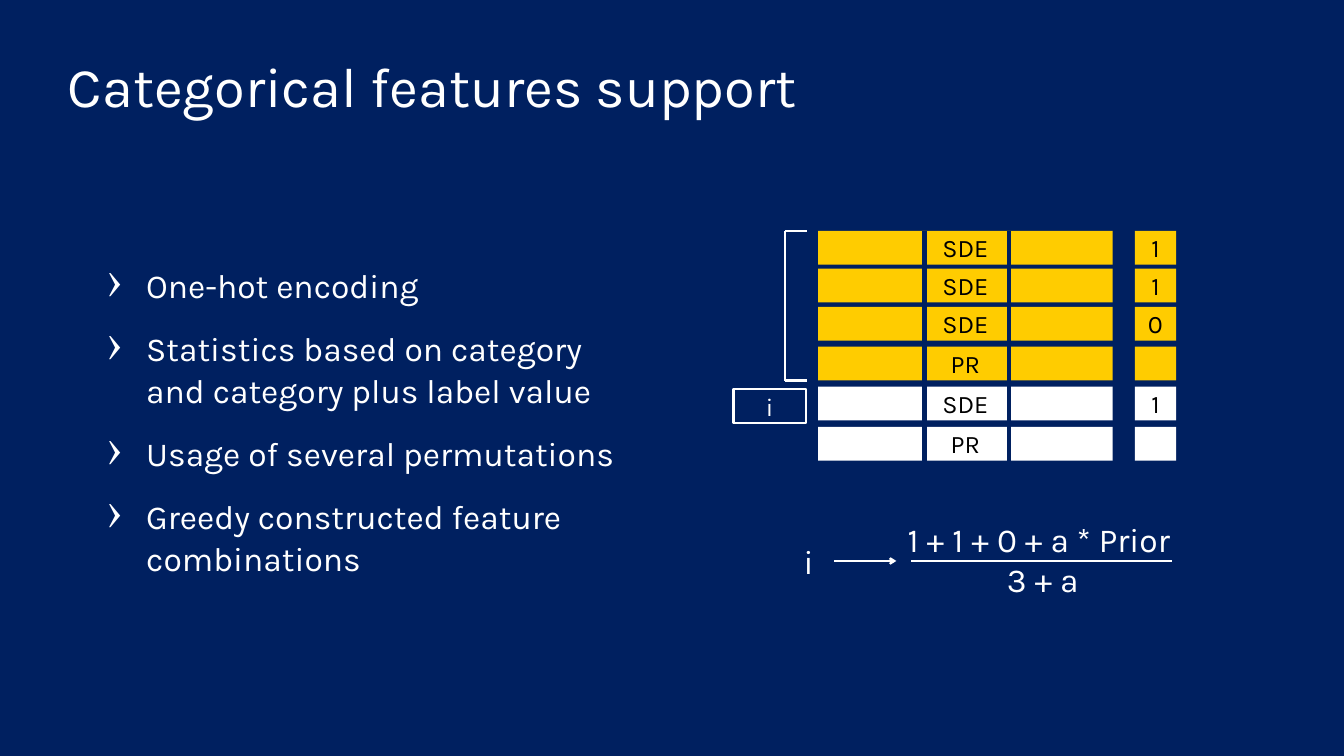
from dataclasses import dataclass

from lxml import etree
from pptx import Presentation
from pptx.dml.color import RGBColor
from pptx.enum.shapes import MSO_CONNECTOR, MSO_SHAPE
from pptx.enum.text import MSO_ANCHOR, PP_ALIGN
from pptx.oxml.ns import qn
from pptx.util import Inches, Pt

RECTANGLE = MSO_SHAPE.RECTANGLE
STRAIGHT = MSO_CONNECTOR.STRAIGHT
MIDDLE = MSO_ANCHOR.MIDDLE
LEFT, CENTER = PP_ALIGN.LEFT, PP_ALIGN.CENTER

# Grid: one column and one row are one inch each
COLUMNS, ROWS = 26.66, 15


@dataclass(frozen=True)
class Theme:
    font: str = "Karla"
    navy: str = "002060"
    yellow: str = "FFCC00"
    white: str = "FFFFFF"
    black: str = "000000"
    title_size: int = 80
    body_size: int = 48
    cell_size: int = 36
    thin: int = 3
    thick: int = 6


class SlideBuilder:
    def __init__(self, presentation, theme):
        self.theme = theme
        self.slide = presentation.slides.add_slide(presentation.slide_layouts[6])
        self.column = presentation.slide_width / COLUMNS
        self.row = presentation.slide_height / ROWS

    def place(self, left, top, width, height):
        units = (self.column, self.row, self.column, self.row)
        return [round(n * unit) for n, unit in zip((left, top, width, height), units)]

    def fill_text(self, frame, lines, size, color, align=CENTER, **spacing):
        frame.word_wrap = True
        frame.vertical_anchor = MIDDLE
        for index, line in enumerate(lines):
            paragraph = frame.add_paragraph() if index else frame.paragraphs[0]
            paragraph.alignment = align
            for name, value in spacing.items():
                setattr(paragraph, name, value)
            run = paragraph.add_run()
            run.text = line
            for name, value in {"name": self.theme.font, "size": Pt(size)}.items():
                setattr(run.font, name, value)
            run.font.color.rgb = RGBColor.from_string(color)

    def box(self, area, fill=None, border=None, text="", color=None):
        shape = self.slide.shapes.add_shape(RECTANGLE, *self.place(*area))
        shape.shadow.inherit = False
        if fill:
            shape.fill.solid()
            shape.fill.fore_color.rgb = RGBColor.from_string(fill)
        else:
            shape.fill.background()
        if border:
            shape.line.color.rgb = RGBColor.from_string(border)
            shape.line.width = Pt(self.theme.thin)
        else:
            shape.line.fill.background()
        if text:
            self.fill_text(shape.text_frame, [text], self.theme.cell_size,
                           color or self.theme.black)

    def text(self, area, lines, size, align=CENTER, **spacing):
        frame = self.slide.shapes.add_textbox(*self.place(*area)).text_frame
        self.fill_text(frame, lines, size, self.theme.white, align, **spacing)
        return frame

    def bullets(self, area, lines):
        frame = self.text(area, lines, self.theme.body_size, LEFT,
                          line_spacing=Pt(60), space_before=Pt(30))
        frame.margin_left = 0
        for paragraph in frame.paragraphs:
            properties = paragraph._p.get_or_add_pPr()
            properties.set("marL", str(Inches(1.65)))
            properties.set("indent", str(Inches(-0.79)))
            etree.SubElement(properties, qn("a:buSzPct")).set("val", "150000")
            etree.SubElement(properties, qn("a:buChar")).set("char", "›")

    def line(self, start, end, color, width, arrow=False):
        ends = self.place(*start, *end)
        connector = self.slide.shapes.add_connector(STRAIGHT, *ends)
        connector.line.color.rgb = RGBColor.from_string(color)
        connector.line.width = Pt(width)
        if arrow:
            stroke = connector.line._get_or_add_ln()
            etree.SubElement(stroke, qn("a:tailEnd")).set("type", "arrow")
        etree.SubElement(connector._element.spPr, qn("a:effectLst"))


def main():
    presentation = Presentation()
    presentation.slide_width = Inches(COLUMNS)
    presentation.slide_height = Inches(ROWS)
    theme = Theme()
    page = SlideBuilder(presentation, theme)

    # Backdrop, title and list
    page.box((0, 0, COLUMNS, ROWS), theme.navy)
    page.text((1.25, 0.83, 24.2, 1.65), ["Categorical features support"],
              theme.title_size, LEFT, line_spacing=Pt(100))
    page.bullets((1.25, 3.33, 11.27, 10.02), [
        "One-hot encoding",
        "Statistics based on category and category plus label value",
        "Usage of several permutations",
        "Greedy constructed feature combinations",
    ])

    # Samples: category on the left, label value on the right
    samples = [
        (4.58, "SDE", "1", theme.yellow),
        (5.33, "SDE", "1", theme.yellow),
        (6.09, "SDE", "0", theme.yellow),
        (6.88, "PR", "", theme.yellow),
        (7.67, "SDE", "1", theme.white),
        (8.47, "PR", "", theme.white),
    ]
    cell_height = 0.67
    for top, category, label, fill in samples:
        page.box((16.23, top, 5.84, cell_height), fill, text=category)
        page.box((22.51, top, 0.82, cell_height), fill, text=label)
    for divider in (18.34, 20.01):
        page.line((divider, 4.58), (divider, 9.2), theme.navy, theme.thick)

    # Bracket around the samples before the current one
    spine, tip, bracket_top, bracket_bottom = 15.58, 16, 4.58, 7.55
    page.line((spine, bracket_top), (spine, bracket_bottom), theme.white, theme.thin)
    for level in (bracket_top, bracket_bottom):
        page.line((tip, level), (spine, level), theme.white, theme.thin)
    page.box((14.55, 7.72, 1.43, cell_height), border=theme.white, text="i", color=theme.white)

    # Formula
    axis = 11.13
    page.text((14.79, 10.81, 2.5, 0.66), ["i"], theme.body_size)
    page.text((17.71, 10.36, 5.8, 0.69), ["1 + 1 + 0 + a * Prior"], theme.body_size)
    page.text((18.14, axis, 5.09, 0.72), ["3 + a"], theme.body_size)
    page.line((18.08, axis), (23.24, axis), theme.white, theme.thin)
    page.line((16.55, axis), (17.78, axis), theme.white, theme.thin, arrow=True)

    presentation.save("out.pptx")


if __name__ == "__main__":
    main()
